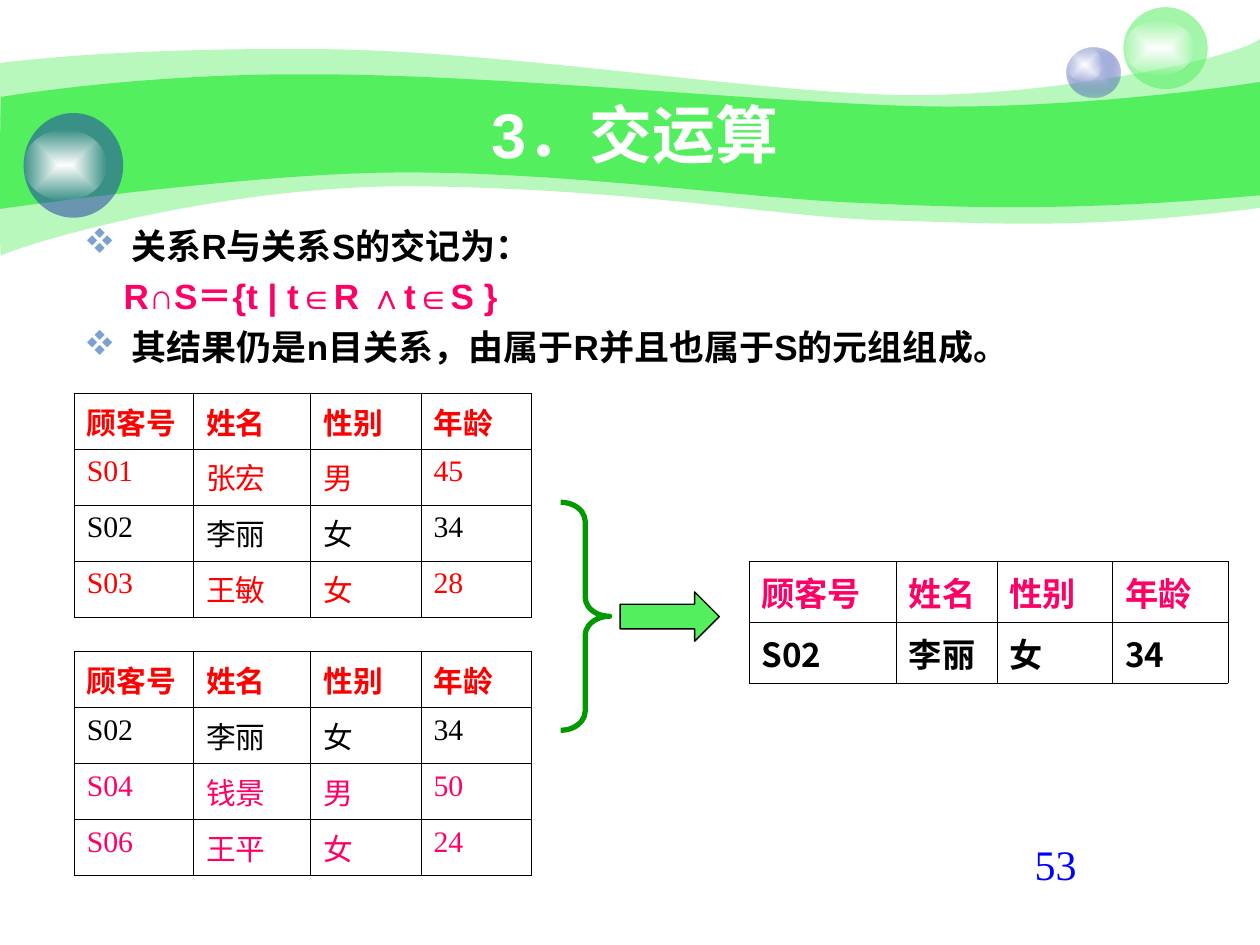
from dataclasses import dataclass

from lxml import etree
from pptx import Presentation
from pptx.dml.color import RGBColor
from pptx.enum.shapes import MSO_SHAPE as SHAPE
from pptx.enum.text import MSO_ANCHOR as ANCHOR, PP_ALIGN as ALIGN
from pptx.oxml import parse_xml
from pptx.oxml.ns import nsdecls, qn
from pptx.util import Pt


@dataclass(frozen=True)
class Theme:
    green: str = "53EF5E"
    blue: str = "233DA9"
    pale: str = "C7CEE9"
    white: str = "FFFFFF"
    black: str = "000000"
    red: str = "FF0000"
    pink: str = "FF0066"
    bullet: str = "7DA0D3"
    brace: str = "009900"
    number: str = "0000FF"
    sans: str = "Arial"
    serif: str = "Times New Roman"
    cjk: str = "Noto Sans CJK KR"
    title: int = 36
    body: int = 20
    table: int = 17
    result: int = 19
    page: int = 24


T = Theme()
WIDTH, HEIGHT = 720, 540

BANDS = [
    (41, [(0, 36), (17.3, 33.8, 77, 27.4, 177.8, 28.1),
          (277.9, 28.1, 414, 50.4, 503.3, 54),
          (591.8, 57.6, 705.6, 33.8, 720, 22.3), (720, 118.8),
          (617.8, 131.8, 566.6, 127.4, 507.6, 126),
          (447.8, 124.6, 370.8, 108.7, 247, 106.6),
          (123.8, 103.7, 2.9, 143.3, 0.7, 146.2),
          (-0.7, 149.8, 0, 54, 0, 36)]),
    (100, [(0.7, 55.4), (1.4, 55.4, 79.2, 41.8, 178.6, 42.5),
           (277.9, 42.5, 428.4, 57.6, 517, 60.5),
           (605.5, 63.4, 702.7, 49.7, 720, 46.8), (720, 111.6),
           (614.2, 121, 550.8, 118.8, 491, 115.9),
           (431.3, 113.8, 321.8, 97.9, 228.2, 98.6),
           (146.2, 98.6, -1.4, 119.5, -0.7, 119.5),
           (0, 119.5, 0, 55.4, 0.7, 55.4)]),
]
GLOW = [(T.white, 100), (T.white, 0)]
BALLS = [
    ((609.8, 27.2, 30.2, 28.8), [(T.pale, 100), (T.blue, 31)]),
    ((609.8, 27.2, 20.2, 19.4), GLOW),
    ((642, 4.1, 48.2, 46.8), [(T.green, 53)]),
    ((642, 12.1, 40.3, 31), GLOW),
    ((13.5, 64.6, 56.9, 59.8), [(T.blue, 53)]),
    ((13.5, 74.2, 47.5, 40.3), GLOW),
]
TITLE = "3．交运算"
BODY = [
    ("关系R与关系S的交记为：", T.black, True),
    ("R∩S＝{t | t∈R ∧t∈S }", T.pink, False),
    ("其结果仍是n目关系，由属于R并且也属于S的元组组成。", T.black, True),
]
HEADER = ["顾客号", "姓名", "性别", "年龄"]
COLUMNS = [68.2, 67, 63, 63]
TABLES = [
    dict(at=(42.4, 224.6), cols=COLUMNS, row=32, size=T.table, head=T.red,
         bold=False, code_font=T.serif, rows=[
             (T.red, ["S01", "张宏", "男", "45"]),
             (T.black, ["S02", "李丽", "女", "34"]),
             (T.red, ["S03", "王敏", "女", "28"])]),
    dict(at=(42.4, 372.2), cols=COLUMNS, row=32, size=T.table, head=T.red,
         bold=False, code_font=T.serif, rows=[
             (T.black, ["S02", "李丽", "女", "34"]),
             (T.pink, ["S04", "钱景", "男", "50"]),
             (T.pink, ["S06", "王平", "女", "24"])]),
    dict(at=(428, 320.8), cols=[84.2, 57.6, 66, 66], row=34.8, size=T.result,
         head=T.pink, bold=True, code_font=T.cjk, rows=[
             (T.black, ["S02", "李丽", "女", "34"])]),
]


def rgb(color):
    return RGBColor.from_string(color)


def pts(values):
    return [Pt(v) for v in values]


def paint(s, stops):
    s.shadow.inherit = False
    s.line.fill.background()
    if len(stops) == 1:
        color, alpha = stops[0]
        s.fill.solid()
        s.fill.fore_color.rgb = rgb(color)
        if alpha < 100:
            clr = s._element.spPr.find(qn("a:solidFill"))[0]
            etree.SubElement(clr, qn("a:alpha"), val=str(alpha * 1000))
        return
    gs = "".join(
        f'<a:gs pos="{i * 100000}"><a:srgbClr val="{c}">'
        f'<a:alpha val="{a * 1000}"/></a:srgbClr></a:gs>'
        for i, (c, a) in enumerate(stops))
    grad = parse_xml(
        f'<a:gradFill {nsdecls("a")} rotWithShape="1"><a:gsLst>{gs}</a:gsLst>'
        '<a:path path="rect"><a:fillToRect l="50000" t="50000" r="50000" '
        'b="50000"/></a:path></a:gradFill>')
    s._element.spPr.find(qn("a:prstGeom")).addnext(grad)


def add_band(shapes, alpha, segments):
    points = [pts(seg[i:i + 2]) for seg in segments
              for i in range(0, len(seg), 2)]
    fb = shapes.build_freeform(*points[0], scale=1.0)
    fb.add_line_segments(points[1:], close=True)
    s = fb.convert_to_shape()
    lines = iter(list(s._element.iter(qn("a:lnTo"))))
    for seg in segments[1:]:
        first = next(lines)
        if len(seg) == 6:
            first.tag = qn("a:cubicBezTo")
            for _ in range(2):
                line = next(lines)
                first.append(line[0])
                line.getparent().remove(line)
    paint(s, [(T.green, alpha)])


def add_run(p, text, font, size, color, bold=False):
    r = p.add_run()
    r.text = text
    r.font.name, r.font.size, r.font.bold = font, Pt(size), bold
    r.font.color.rgb = rgb(color)
    latin = r._r.rPr.find(qn("a:latin"))
    latin.addnext(latin.makeelement(qn("a:ea"), {"typeface": T.cjk}))


def add_box(shapes, box):
    tf = shapes.add_textbox(*pts(box)).text_frame
    tf.word_wrap = True
    return tf


def add_body(shapes):
    tf = add_box(shapes, (41, 124.6, 641.5, 97.9))
    for i, (text, color, bullet) in enumerate(BODY):
        p = tf.add_paragraph() if i else tf.paragraphs[0]
        pPr = p._p.get_or_add_pPr()
        pPr.set("marL", str(Pt(27 if bullet else 22.5)))
        pPr.set("indent", str(Pt(-27 if bullet else 0)))
        if bullet:
            clr = etree.SubElement(pPr, qn("a:buClr"))
            etree.SubElement(clr, qn("a:srgbClr"), val=T.bullet)
            etree.SubElement(pPr, qn("a:buFont"), typeface="Wingdings",
                             pitchFamily="2", charset="2")
            etree.SubElement(pPr, qn("a:buChar"), char="v")
        p.line_spacing = Pt(24)
        if i:
            p.space_before = Pt(5)
        add_run(p, text, T.sans, T.body, color, True)


def add_borders(cell):
    tcPr = cell._tc.get_or_add_tcPr()
    for i, side in enumerate("LRTB"):
        tcPr.insert(i, parse_xml(
            f'<a:ln{side} {nsdecls("a")} w="{Pt(0.45)}"><a:solidFill>'
            f'<a:srgbClr val="{T.black}"/></a:solidFill></a:ln{side}>'))


def add_grid(shapes, at, cols, row, size, head, bold, code_font, rows):
    lines = [(head, HEADER)] + rows
    box = (*at, sum(cols), row * len(lines))
    table = shapes.add_table(len(lines), len(cols), *pts(box)).table
    table.first_row = table.horz_banding = False
    for col, width in zip(table.columns, cols):
        col.width = Pt(width)
    for i, (color, texts) in enumerate(lines):
        table.rows[i].height = Pt(row)
        for j, text in enumerate(texts):
            cell = table.cell(i, j)
            cell.fill.background()
            add_borders(cell)
            font = code_font if text.isascii() else T.serif
            add_run(cell.text_frame.paragraphs[0], text, font, size, color,
                    bold or i == 0)


def main():
    prs = Presentation()
    prs.slide_width, prs.slide_height = Pt(WIDTH), Pt(HEIGHT)
    shapes = prs.slides.add_slide(prs.slide_layouts[6]).shapes
    for band in BANDS:
        add_band(shapes, *band)
    for box, stops in BALLS:
        paint(shapes.add_shape(SHAPE.OVAL, *pts(box)), stops)

    tf = add_box(shapes, (72, 54, 581.8, 44.6))
    tf.vertical_anchor = ANCHOR.MIDDLE
    tf.paragraphs[0].alignment = ALIGN.CENTER
    add_run(tf.paragraphs[0], TITLE, T.sans, T.title, T.white, True)
    add_body(shapes)
    for table in TABLES:
        add_grid(shapes, **table)

    brace = shapes.add_shape(SHAPE.RIGHT_BRACE, *pts((320.4, 287, 28, 130.3)))
    brace.adjustments[0] = 0.39
    brace.shadow.inherit = False
    brace.fill.background()
    brace.line.color.rgb, brace.line.width = rgb(T.brace), Pt(3)

    arrow = shapes.add_shape(SHAPE.RIGHT_ARROW, *pts((354.4, 338.2, 56.7, 28.2)))
    paint(arrow, [(T.green, 100)])
    arrow.line.color.rgb, arrow.line.width = rgb(T.black), Pt(0.75)

    tf = add_box(shapes, (584.2, 475.4, 114.5, 36))
    add_run(tf.paragraphs[0], "53", T.serif, T.page, T.number)
    prs.save("out.pptx")


if __name__ == "__main__":
    main()
